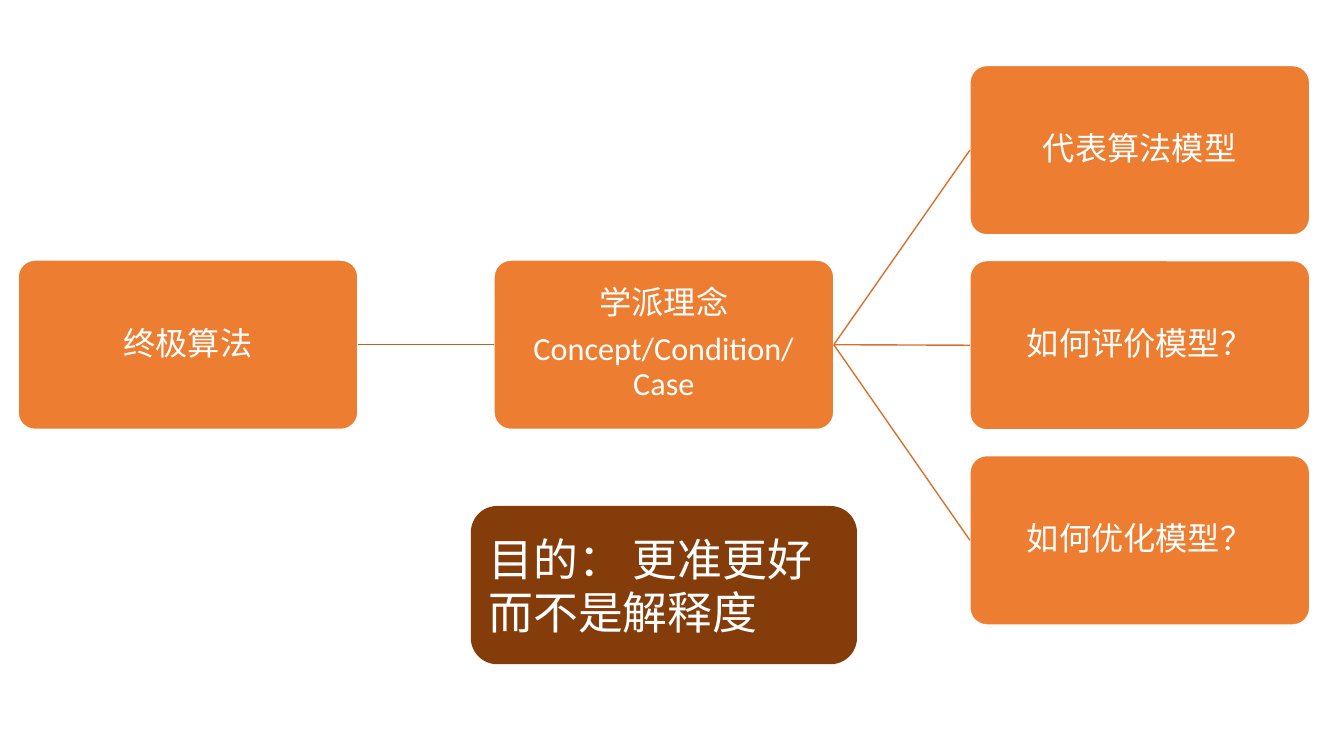
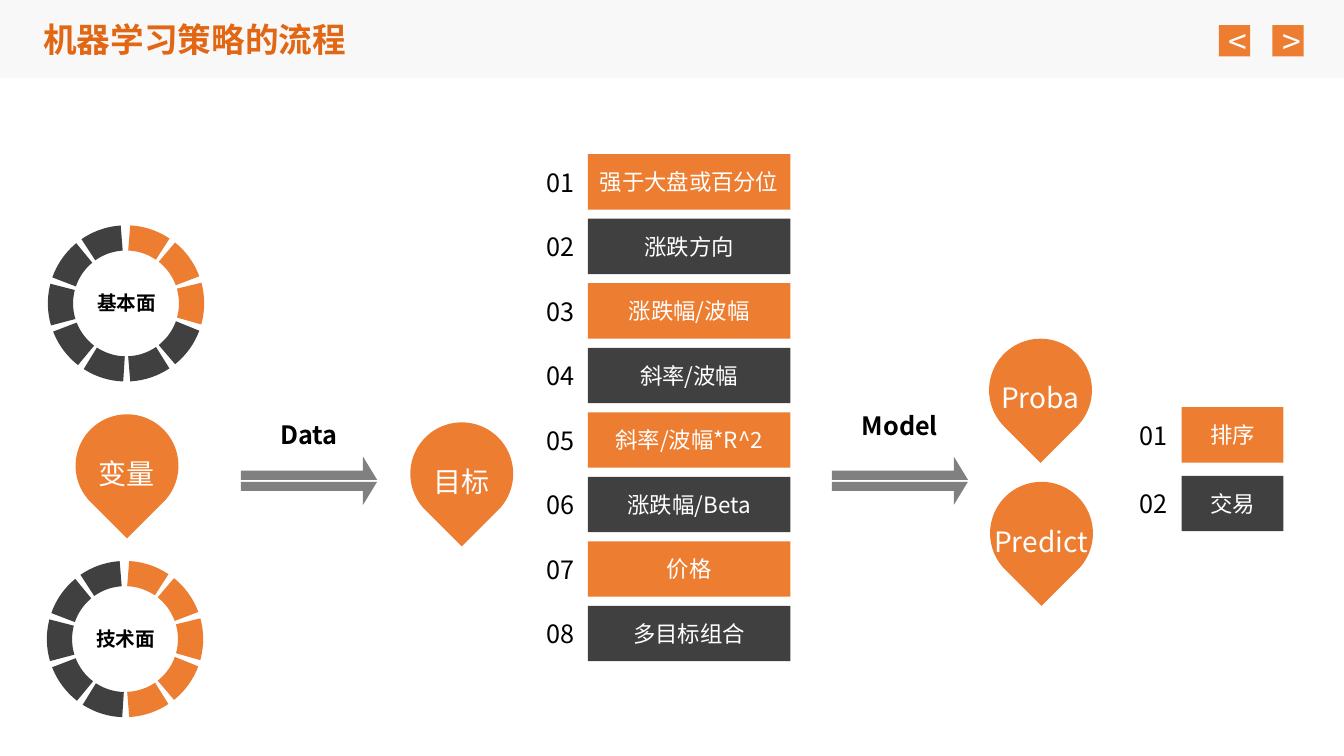
"""Build two slides on machine learning schools and the strategy workflow."""
from lxml import etree
from pptx import Presentation
from pptx.dml.color import RGBColor
from pptx.enum.shapes import MSO_CONNECTOR, MSO_SHAPE as SHAPE
from pptx.enum.text import MSO_ANCHOR as ANCHOR, MSO_AUTO_SIZE, PP_ALIGN as ALIGN
from pptx.oxml.ns import qn
from pptx.util import Inches, Pt

COLORS = {
    "orange": "ED7D31", "dark": "404040", "brown": "843C0B", "gray": "808080",
    "band": "F8F8F8", "title": "E26714", "white": "FFFFFF", "black": "000000",
    "root_link": "BE6427", "branch_link": "D7712C",
}
LATIN_FONT, CJK_FONT = "Calibri", "Noto Sans CJK SC"

NODE_SIZE = (3.37, 1.68)
ROOT = (["终极算法"], 0.18, 2.58)
CONCEPT = (["学派理念", "Concept/Condition/Case"], 4.9, 2.58)
BRANCHES = ["代表算法模型", "如何评价模型？", "如何优化模型？"]
BRANCH_LEFT, BRANCH_TOP, BRANCH_STEP = 9.62, 0.65, 1.935
PURPOSE = ["目的： 更准更好", "而不是解释度"]

TITLE = "机器学习策略的流程"
BUTTONS = [("<", 12.09), (">", 12.62)]
RINGS = [("基本面", 0.6, 2.36, 3), ("技术面", 0.59, 5.69, 5)]
RING_SIZE, RING_PARTS, RING_START, RING_STEP = 1.3, 10, 2.8, 35.8
PINS = [("变量", 0.75, 4.11), ("目标", 4.07, 4.19),
        ("Proba", 9.81, 3.36), ("Predict", 9.82, 4.78)]
TARGETS = ["强于大盘或百分位", "涨跌方向", "涨跌幅/波幅", "斜率/波幅",
           "斜率/波幅*R^2", "涨跌幅/Beta", "价格", "多目标组合"]
OUTPUTS = ["排序", "交易"]
ARROWS = [("Data", 2.39, 4.04), ("Model", 8.25, 3.95)]
ARROW_TIP_Y = 4.77
HALF_ARROW = [(0, 0.01), (0, 0.1), (1.21, 0.1), (1.21, 0.24), (1.35, 0.01)]


def rgb(name):
    return RGBColor.from_string(COLORS[name])


def write(shape, lines, size, color="white", font=CJK_FONT, bold=False,
          align=ALIGN.CENTER, anchor=ANCHOR.MIDDLE, margins=(0.1, 0.05),
          spacing=None, before=None, after=None):
    frame = shape.text_frame
    frame.word_wrap = True
    frame.auto_size = MSO_AUTO_SIZE.NONE
    frame.vertical_anchor = anchor
    frame.margin_left = frame.margin_right = Inches(margins[0])
    frame.margin_top = frame.margin_bottom = Inches(margins[1])
    for index, line in enumerate(lines):
        paragraph = frame.add_paragraph() if index else frame.paragraphs[0]
        paragraph.alignment = align
        paragraph.line_spacing = spacing
        paragraph.space_before = before
        paragraph.space_after = after
        run = paragraph.add_run()
        run.text = line
        run.font.size = Pt(size)
        run.font.bold = bold
        run.font.name = font
        run.font.color.rgb = rgb(color)
        east_asian = etree.SubElement(run.font._element, qn("a:ea"))
        east_asian.set("typeface", CJK_FONT)


def add_box(slide, kind, left, top, width, height, fill):
    shape = slide.shapes.add_shape(
        kind, Inches(left), Inches(top), Inches(width), Inches(height))
    shape.shadow.inherit = False
    shape.fill.solid()
    shape.fill.fore_color.rgb = rgb(fill)
    shape.line.fill.background()
    return shape


def add_label(slide, text, left, top, width, height, size, **style):
    label = slide.shapes.add_textbox(
        Inches(left), Inches(top), Inches(width), Inches(height))
    write(label, [text], size, **style)


def add_node(slide, lines, left, top):
    node = add_box(slide, SHAPE.ROUNDED_RECTANGLE, left, top, *NODE_SIZE, "orange")
    node.adjustments[0] = 0.1
    node.line.color.rgb = rgb("white")
    node.line.width = Pt(1)
    write(node, lines, 23, font=LATIN_FONT, margins=(0.05, 0.05),
          spacing=0.9, after=Pt(8))
    return node


def add_link(slide, source, target, color):
    link = slide.shapes.add_connector(MSO_CONNECTOR.STRAIGHT, 0, 0, 0, 0)
    link.begin_connect(source, 3)
    link.end_connect(target, 1)
    link.line.color.rgb = rgb(color)
    link.line.width = Pt(1)
    etree.SubElement(link._element.spPr, qn("a:effectLst"))


def add_ring(slide, text, left, top, highlighted):
    for index in range(RING_PARTS):
        arc = slide.shapes.add_shape(
            SHAPE.ARC, Inches(left), Inches(top), Inches(RING_SIZE), Inches(RING_SIZE))
        arc.shadow.inherit = False
        arc.adjustments[0], arc.adjustments[1] = 162, 180.76
        arc.rotation = RING_START + index * RING_STEP
        arc.fill.background()
        arc.line.color.rgb = rgb("orange" if index < highlighted else "dark")
        arc.line.width = Pt(18)
    add_label(slide, text, left + 0.25, top + 0.48, 0.81, 0.34, 14,
              color="black", bold=True, anchor=ANCHOR.TOP)


def add_pin(slide, text, left, top):
    pin = add_box(slide, SHAPE.TEAR, left, top, 1.02, 1.02, "orange")
    pin.rotation = 135
    add_label(slide, text, left - 0.07, top + 0.37, 1.15, 0.44, 20, anchor=ANCHOR.TOP)


def add_arrow(slide, text, left, label_top):
    for side in (-1, 1):
        points = [(Inches(left + x), Inches(ARROW_TIP_Y + side * y))
                  for x, y in HALF_ARROW]
        builder = slide.shapes.build_freeform(*points[0])
        builder.add_line_segments(points[1:], close=True)
        half = builder.convert_to_shape()
        half.shadow.inherit = False
        half.fill.solid()
        half.fill.fore_color.rgb = rgb("gray")
        half.line.fill.background()
    add_label(slide, text, left, label_top, 1.35, 0.48, 18, color="black", bold=True,
              anchor=ANCHOR.TOP, spacing=1.25, before=Pt(6))


def add_numbered_bars(slide, labels, left, top, width, step):
    for index, text in enumerate(labels):
        y = top + index * step
        add_label(slide, f"{index + 1:02d}", left - 0.55, y, 0.55, 0.55, 18,
                  color="black")
        bar = add_box(slide, SHAPE.RECTANGLE, left, y, width, 0.55,
                      ("orange", "dark")[index % 2])
        write(bar, [text], 16, margins=(0, 0.05))


def add_header(slide):
    band = add_box(slide, SHAPE.RECTANGLE, 0, 0, 13.33, 0.77, "band")
    slide.shapes._spTree.insert(2, band._element)
    title = slide.shapes.title
    title.left, title.top = Inches(0.33), Inches(0.14)
    title.width, title.height = Inches(5.06), Inches(0.5)
    write(title, [TITLE], 24, color="title", bold=True, align=ALIGN.LEFT,
          anchor=ANCHOR.TOP)
    for symbol, left in BUTTONS:
        button = add_box(slide, SHAPE.RECTANGLE, left, 0.25, 0.31, 0.31, "orange")
        write(button, [symbol], 24)


def build_schools(presentation):
    slide = presentation.slides.add_slide(presentation.slide_layouts[6])
    root = add_node(slide, *ROOT)
    concept = add_node(slide, *CONCEPT)
    add_link(slide, root, concept, "root_link")
    for index, text in enumerate(BRANCHES):
        branch = add_node(slide, [text], BRANCH_LEFT, BRANCH_TOP + index * BRANCH_STEP)
        add_link(slide, concept, branch, "branch_link")
    purpose = add_box(slide, SHAPE.ROUNDED_RECTANGLE, 4.67, 5.02, 3.83, 1.57, "brown")
    write(purpose, PURPOSE, 32, font=LATIN_FONT, align=ALIGN.LEFT)


def build_workflow(presentation):
    slide = presentation.slides.add_slide(presentation.slide_layouts[5])
    add_header(slide)
    for ring in RINGS:
        add_ring(slide, *ring)
    for pin in PINS:
        add_pin(slide, *pin)
    for arrow in ARROWS:
        add_arrow(slide, *arrow)
    add_numbered_bars(slide, TARGETS, 5.83, 1.53, 2.01, 0.64)
    add_numbered_bars(slide, OUTPUTS, 11.72, 4.04, 1.01, 0.68)


def main():
    presentation = Presentation()
    presentation.slide_width, presentation.slide_height = Inches(13.33), Inches(7.5)
    build_schools(presentation)
    build_workflow(presentation)
    presentation.save("out.pptx")


if __name__ == "__main__":
    main()
